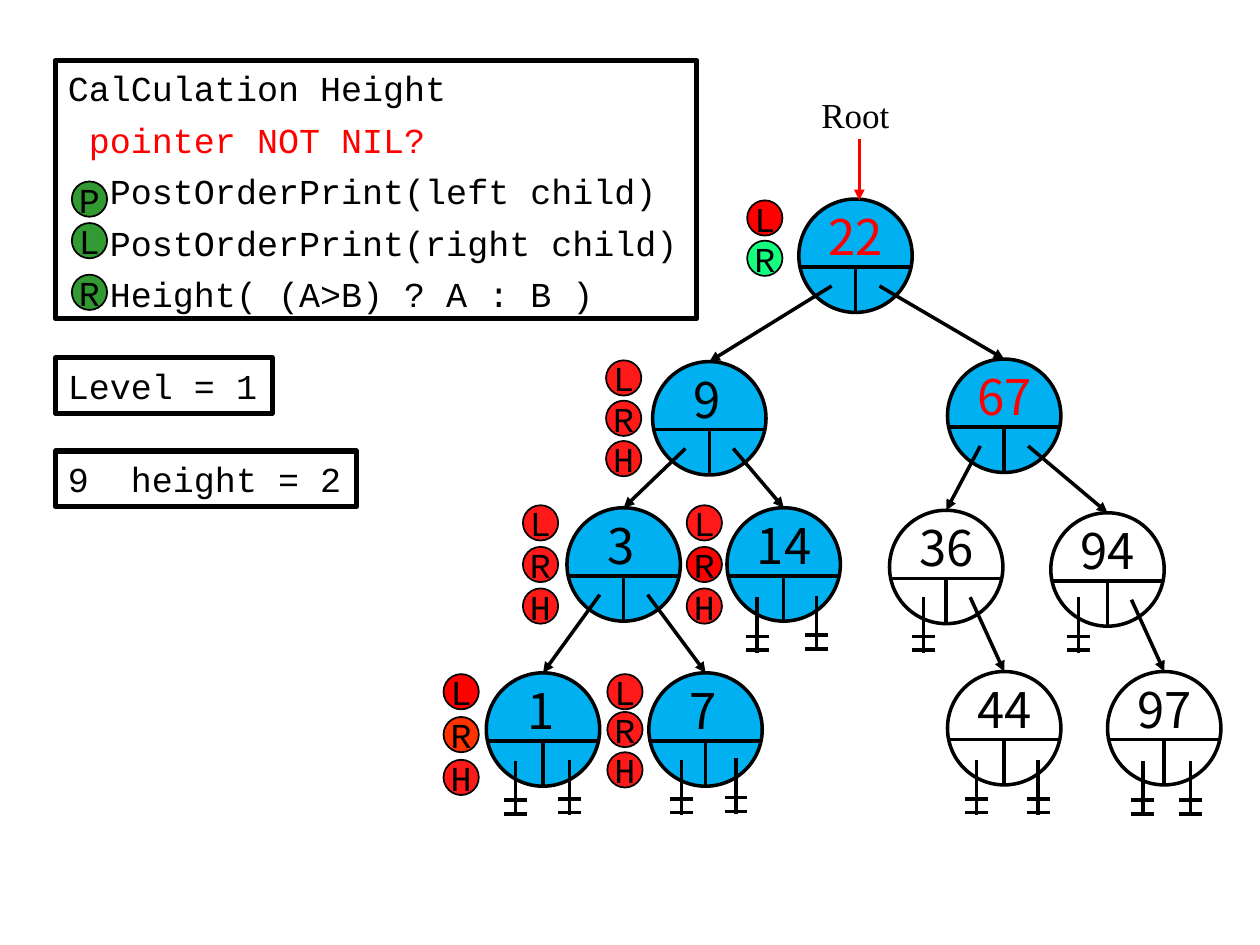
"""Build a slide showing the height calculation of a binary search tree."""
from lxml import etree
from pptx import Presentation
from pptx import util as u
from pptx.dml.color import RGBColor
from pptx.enum import shapes, text
from pptx.oxml.ns import qn

COLORS = {"black": "000000", "red": "FF0000", "blue": "00B0F0", "green": "339933",
          "crimson": "FF1A1A", "orange": "FF3300", "mint": "15FF7F"}
CODE, SERIF, DIGITS = "Courier New", "Times New Roman", "Noto Sans CJK KR"

# label: left, top, fill, text color
NODES = {
    "67": (7.52, 2.85, "blue", "red"), "14": (5.77, 4.03, "blue", "black"),
    " 7": (5.15, 5.34, "blue", "black"), " 1": (3.86, 5.34, "blue", "black"),
    " 3": (4.5, 4.03, "blue", "black"), " 9": (5.18, 2.87, "blue", "black"),
    "36": (7.06, 4.05, None, "black"), "44": (7.52, 5.33, None, "black"),
    "94": (8.34, 4.07, None, "black"), "97": (8.79, 5.33, None, "black"),
    "22": (6.34, 1.58, "blue", "red"),
}
# parent, left child, right child
BRANCHES = [("22", " 9", "67"), (" 9", " 3", "14"), (" 3", " 1", " 7"),
            ("67", "36", "94"), ("36", None, "44"), ("94", None, "97")]
NIL_MARKS = [(4.09, 6.04), (4.52, 6.03), (5.41, 6.03), (5.84, 6.02), (6.01, 4.74),
             (6.48, 4.73), (7.75, 6.03), (8.24, 6.03), (9.45, 6.04), (9.07, 6.04),
             (7.33, 4.74), (8.56, 4.74)]
# left, then letter, top, fill
BADGES = [
    (0.57, [("P", 1.44, "green"), ("L", 1.77, "green"), ("R", 2.18, "green")]),
    (5.93, [("L", 1.59, "red"), ("R", 1.91, "mint")]),
    (4.81, [("L", 2.86, "crimson"), ("R", 3.18, "crimson"), ("H", 3.5, "crimson")]),
    (4.15, [("L", 4.01, "crimson"), ("R", 4.34, "crimson"), ("H", 4.67, "crimson")]),
    (5.45, [("L", 4.01, "crimson"), ("R", 4.34, "red"), ("H", 4.67, "crimson")]),
    (3.52, [("L", 5.35, "red"), ("R", 5.69, "orange"), ("H", 6.03, "crimson")]),
    (4.82, [("L", 5.35, "crimson"), ("R", 5.65, "crimson"), ("H", 5.97, "crimson")]),
]
PSEUDOCODE = [("CalCulation Height", "black"), (" pointer NOT NIL?", "red"),
              ("  PostOrderPrint(left child)", "black"),
              ("  PostOrderPrint(right child)", "black"),
              ("  Height( (A>B) ? A : B )", "black")]
# left, top, width, height, lines, space before
BOXES = [(0.44, 0.48, 5.09, 2.05, PSEUDOCODE, 5.4),
         (0.44, 2.84, 1.72, 0.44, [("Level = 1", "black")], 0),
         (0.44, 3.58, 2.39, 0.44, [("9  height = 2", "black")], 0)]
NODE_SIZE, BADGE_SIZE = 0.9, 0.28


def rgb(name):
    return RGBColor.from_string(COLORS[name])


def write(shape, lines, font=CODE, size=20, align=text.PP_ALIGN.LEFT,
          anchor=text.MSO_ANCHOR.TOP, before=0):
    frame = shape.text_frame
    frame.word_wrap = False
    frame.vertical_anchor = anchor
    for index, (words, color) in enumerate(lines):
        paragraph = frame.add_paragraph() if index else frame.paragraphs[0]
        paragraph.alignment = align
        paragraph.space_before = u.Pt(before)
        run = paragraph.add_run()
        run.text = words
        run.font.name, run.font.size = font, u.Pt(size)
        run.font.color.rgb = rgb(color)
        if font == DIGITS:
            east_asian = etree.SubElement(run.font._element, qn("a:ea"))
            east_asian.set("typeface", font)


def add_outline(parent, kind, left, top, width, height, fill=None, weight=2):
    shape = parent.shapes.add_shape(kind, *map(u.Inches, (left, top, width, height)))
    shape.shadow.inherit = False
    if fill:
        shape.fill.solid()
        shape.fill.fore_color.rgb = rgb(fill)
    else:
        shape.fill.background()
    shape.line.color.rgb = rgb("black")
    shape.line.width = u.Pt(weight)
    return shape


def add_line(parent, start, end, color="black", arrow=False):
    line = parent.shapes.add_connector(
        shapes.MSO_CONNECTOR.STRAIGHT, *map(u.Inches, (*start, *end)))
    line.line.color.rgb = rgb(color)
    line.line.width = u.Pt(2)
    properties = line._element.spPr
    if arrow:
        etree.SubElement(properties.find(qn("a:ln")), qn("a:tailEnd"), type="triangle")
    etree.SubElement(properties, qn("a:effectLst"))
    return line


def add_label(parent, left, top, width, height, words, color, **style):
    box = parent.shapes.add_textbox(*map(u.Inches, (left, top, width, height)))
    write(box, [(words, color)], **style)


def add_node(slide, label, left, top, fill, color):
    group = slide.shapes.add_group_shape()
    circle = add_outline(group, shapes.MSO_SHAPE.OVAL, left, top, NODE_SIZE, NODE_SIZE, fill)
    middle, divider = left + NODE_SIZE / 2, top + 0.54
    add_line(group, (left, divider), (left + NODE_SIZE, divider))
    add_line(group, (middle, top + NODE_SIZE), (middle, divider))
    width = 0.56 if label.startswith(" ") else 0.66
    add_label(group, left + 0.14, top + 0.01, width, 0.57, label, color, font=DIGITS, size=28)
    return circle


def add_nil_mark(slide, x, top):
    group = slide.shapes.add_group_shape()
    add_line(group, (x, top), (x, top + 0.44))
    for offset in (0.31, 0.42):
        add_line(group, (x - 0.09, top + offset), (x + 0.09, top + offset))


def main():
    presentation = Presentation()
    presentation.slide_width, presentation.slide_height = u.Inches(10), u.Inches(7.5)
    slide = presentation.slides.add_slide(presentation.slide_layouts[6])

    circles = {label: add_node(slide, label, *node) for label, node in NODES.items()}
    for parent, *children in BRANCHES:
        left, top = NODES[parent][:2]
        for child, offset in zip(children, (-0.19, 0.19)):
            if child:
                start = (left + NODE_SIZE / 2 + offset, top + 0.69)
                edge = add_line(slide, start, start, arrow=True)
                edge.end_connect(circles[child], 0)
    for x, top in NIL_MARKS:
        add_nil_mark(slide, x, top)

    add_label(slide, 6.42, 0.69, 0.75, 0.44, "Root", "black", font=SERIF)
    add_line(slide, (6.82, 1.1), (6.82, 1.59), color="red", arrow=True)

    for left, badges in BADGES:
        for letter, top, fill in badges:
            badge = add_outline(slide, shapes.MSO_SHAPE.OVAL, left, top,
                                BADGE_SIZE, BADGE_SIZE, fill, weight=1)
            write(badge, [(letter, "black")], align=text.PP_ALIGN.CENTER,
                  anchor=text.MSO_ANCHOR.MIDDLE)
    for left, top, width, height, lines, before in BOXES:
        box = add_outline(slide, shapes.MSO_SHAPE.RECTANGLE, left, top, width, height, weight=3)
        write(box, lines, before=before)

    presentation.save("out.pptx")


if __name__ == "__main__":
    main()
